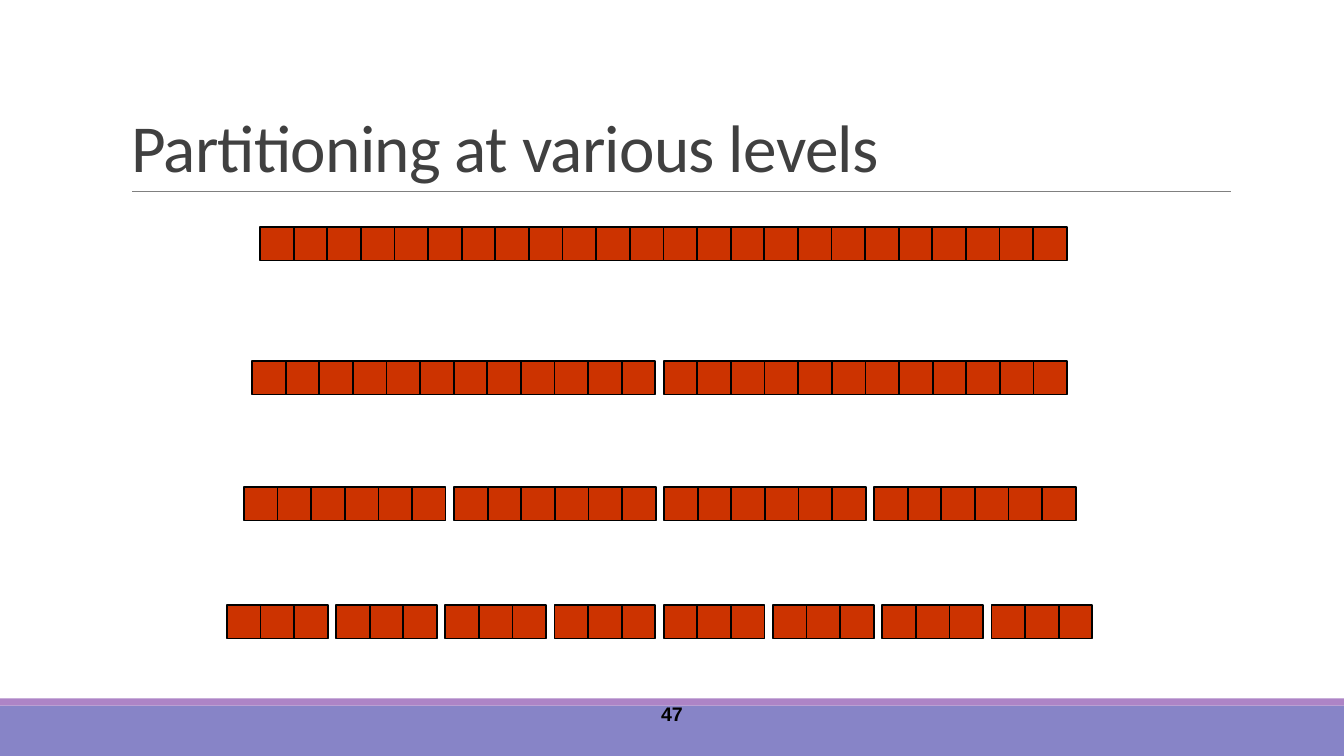
from lxml.etree import SubElement
from pptx import Presentation
from pptx.dml.color import RGBColor
from pptx.enum.shapes import MSO_CONNECTOR, MSO_SHAPE
from pptx.enum.text import MSO_ANCHOR, MSO_AUTO_SIZE, PP_ALIGN
from pptx.oxml.ns import qn
from pptx.util import Inches, Pt

HUES = {
    "base": "8784C7", "band": "AD84C6", "rule": "808080",
    "title": "404040", "cell": "CC3300", "ink": "000000",
}
CELLS = 24
SIDE = 1 / 3
GAP = SIDE / 4
# Left, top and number of parts of each level
LEVELS = [(2.58, 2.25, 1), (2.5, 3.58, 2), (2.42, 4.83, 4), (2.25, 6, 8)]


def hue(name):
    return RGBColor.from_string(HUES[name])


def add_box(shapes, left, top, width, height, fill, line=None):
    box = shapes.add_shape(MSO_SHAPE.RECTANGLE, Inches(left), Inches(top),
                           Inches(width), Inches(height))
    box.shadow.inherit = False
    box.fill.solid()
    box.fill.fore_color.rgb = hue(fill)
    if line:
        box.line.color.rgb = hue(line)
        box.line.width = Pt(1.25)
    else:
        box.line.fill.background()


def add_rule(shapes, left, right, top):
    rule = shapes.add_connector(MSO_CONNECTOR.STRAIGHT, Inches(left),
                                Inches(top), Inches(right), Inches(top))
    rule.line.color.rgb = hue("rule")
    rule.line.width = Pt(0.5)
    SubElement(rule._element.spPr, qn("a:effectLst"))


def place(shape, left, top, width, height):
    shape.left, shape.top = Inches(left), Inches(top)
    shape.width, shape.height = Inches(width), Inches(height)


def add_run(par, text, size, face, color, bold=False):
    run = par.add_run()
    run.text = text
    run.font.size = Pt(size)
    run.font.name = face
    run.font.bold = bold
    run.font.color.rgb = hue(color)
    return run


def set_title(title, text):
    place(title, 1.2, 0.31, 11, 1.59)
    frame = title.text_frame
    frame.auto_size = MSO_AUTO_SIZE.NONE
    frame.vertical_anchor = MSO_ANCHOR.BOTTOM
    par = frame.paragraphs[0]
    par.alignment = PP_ALIGN.LEFT
    par.line_spacing = 0.85
    run = add_run(par, text, 48, "Calibri", "title")
    run.font._element.set("spc", "-50")


def add_number(shapes, text):
    box = shapes.add_textbox(Inches(5.08), Inches(6.83),
                             Inches(3.17), Inches(0.5))
    frame = box.text_frame
    frame.word_wrap = True
    frame.vertical_anchor = MSO_ANCHOR.MIDDLE
    par = frame.paragraphs[0]
    par.alignment = PP_ALIGN.CENTER
    add_run(par, text, 14, "Arial", "ink", bold=True)


def add_level(shapes, left, top, parts):
    group = shapes.add_group_shape()
    size = CELLS // parts
    for cell in range(CELLS):
        shift = cell * SIDE + cell // size * GAP
        add_box(group.shapes, left + shift, top, SIDE, SIDE, "cell", "ink")


def main():
    deck = Presentation()
    deck.slide_width, deck.slide_height = Inches(13.33), Inches(7.5)
    slide = deck.slides.add_slide(deck.slide_layouts[5])
    shapes = slide.shapes

    # Footer bands and title rule
    add_box(shapes, 0, 7, 13.33, 0.5, "base")
    add_box(shapes, 0, 6.93, 13.33, 0.07, "band")
    add_rule(shapes, 1.31, 12.21, 1.9)

    # Title and slide number
    set_title(shapes.title, "Partitioning at various levels")
    add_number(shapes, "47")

    # Rows of cells, split further at each level
    for left, top, parts in LEVELS:
        add_level(shapes, left, top, parts)

    deck.save("out.pptx")


if __name__ == "__main__":
    main()
